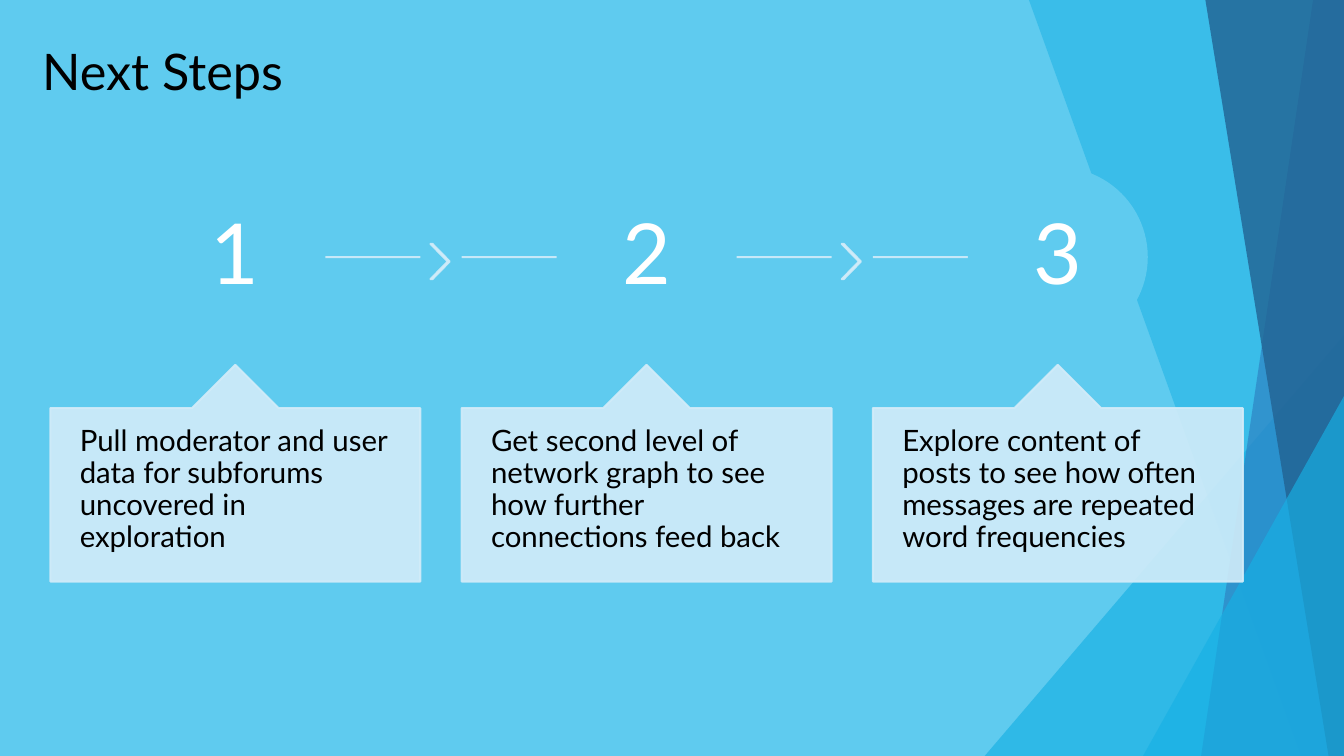
from lxml.etree import SubElement
from pptx import Presentation
from pptx.dml.color import RGBColor
from pptx.enum.shapes import MSO_CONNECTOR, MSO_SHAPE
from pptx.enum.text import MSO_ANCHOR, PP_ALIGN
from pptx.oxml.ns import qn
from pptx.util import Pt

SKY = RGBColor(0x5F, 0xCB, 0xEF)
CYAN = RGBColor(0x17, 0xB0, 0xE4)
BLUE = RGBColor(0x2E, 0x83, 0xC3)
NAVY = RGBColor(0x22, 0x62, 0x92)
PALE = RGBColor(0xD2, 0xEC, 0xF9)
BLACK = RGBColor(0, 0, 0)
WHITE = RGBColor(255, 255, 255)

FONT = "Lato"
SLIDE_W, SLIDE_H = 960, 540
CARD_LEFT, CARD_W, CARD_PITCH = 36, 264.24, 293.76
LINE_Y, LINE_W = 183.6, 1.5
CIRCLE_D = 127

STEPS = [
    "Pull moderator and user data for subforums uncovered in exploration",
    "Get second level of network graph to see how further connections feed back",
    "Explore content of posts to see how often messages are repeated "
    "word frequencies",
]


def set_alpha(fill, percent):
    """Make a solid fill partly transparent."""
    clr = fill._xPr.find(qn("a:solidFill"))[0]
    SubElement(clr, qn("a:alpha")).set("val", str(percent * 1000))


def paint(sp, color, alpha=100, outlined=False):
    """Fill a shape, and outline it in the same colour if asked."""
    sp.shadow.inherit = False
    sp.fill.solid()
    sp.fill.fore_color.rgb = color
    set_alpha(sp.fill, alpha)
    if outlined:
        sp.line.color.rgb = color
        sp.line.width = Pt(LINE_W)
        set_alpha(sp.line.fill, alpha)
    else:
        sp.line.fill.background()


def add_preset(s, kind, x, y, w, h, color, alpha=100, adj=(), outlined=False):
    """Add a preset shape with its adjustments."""
    sp = s.shapes.add_shape(kind, Pt(x), Pt(y), Pt(w), Pt(h))
    for i, value in enumerate(adj):
        sp.adjustments[i] = value
    paint(sp, color, alpha, outlined)
    return sp


def add_wedge(s, top_x, bottom_x, color, alpha):
    """Add a full-height band from a slanted edge to the slide's right side."""
    fb = s.shapes.build_freeform(Pt(top_x), 0)
    fb.add_line_segments([(Pt(SLIDE_W), 0), (Pt(SLIDE_W), Pt(SLIDE_H)),
                          (Pt(bottom_x), Pt(SLIDE_H))])
    paint(fb.convert_to_shape(), color, alpha)


def add_corner(s, x, y, color, alpha):
    """Add a right triangle that fills the lower right corner."""
    add_preset(s, MSO_SHAPE.ISOSCELES_TRIANGLE, x, y, SLIDE_W - x, SLIDE_H - y,
               color, alpha, [1])


def add_line(s, x1, x2):
    """Add a horizontal line of the step track."""
    c = s.shapes.add_connector(MSO_CONNECTOR.STRAIGHT, Pt(x1), Pt(LINE_Y),
                               Pt(x2), Pt(LINE_Y))
    c.line.color.rgb = PALE
    c.line.width = Pt(LINE_W)
    set_alpha(c.line.fill, 90)
    SubElement(c._element.spPr, qn("a:effectLst"))


def set_text(sp, text, size, color, align=PP_ALIGN.LEFT,
             anchor=MSO_ANCHOR.MIDDLE, inset=(7.2, 3.6), spacing=0.9):
    """Write one paragraph into a shape."""
    tf = sp.text_frame
    tf.word_wrap = True
    tf.vertical_anchor = anchor
    tf.margin_left = tf.margin_right = Pt(inset[0])
    tf.margin_top = tf.margin_bottom = Pt(inset[1])
    p = tf.paragraphs[0]
    p.text = text
    p.alignment = align
    p.line_spacing = spacing
    p.font.name = FONT
    p.font.size = Pt(size)
    p.font.color.rgb = color


def add_step(s, index, text):
    """Add a numbered circle with its track and callout."""
    left = CARD_LEFT + index * CARD_PITCH
    center = left + CARD_W / 2
    last = index == len(STEPS) - 1
    add_line(s, left if index else center, center if last else left + CARD_W)
    if not last:
        add_preset(s, MSO_SHAPE.CHEVRON, left + 271.5, 174.2, 13.7, 25.2,
                   PALE, 90, [0.9], True)
    circle = add_preset(s, MSO_SHAPE.OVAL, center - CIRCLE_D / 2,
                        LINE_Y - CIRCLE_D / 2, CIRCLE_D, CIRCLE_D, SKY,
                        outlined=True)
    set_text(circle, str(index + 1), 60, WHITE, PP_ALIGN.CENTER, inset=(5, 5))
    card = add_preset(s, MSO_SHAPE.UP_ARROW_CALLOUT, left, 260.6, CARD_W, 154.8,
                      PALE, 90, [0.5, 0.2, 0.2, 1], True)
    set_text(card, text, 21, BLACK, anchor=MSO_ANCHOR.TOP, inset=(21, 13))


def main():
    """Build the slide and save it."""
    prs = Presentation()
    prs.slide_width, prs.slide_height = Pt(SLIDE_W), Pt(SLIDE_H)
    s = prs.slides.add_slide(prs.slide_layouts[6])
    s.background.fill.solid()
    s.background.fill.fore_color.rgb = SKY

    add_corner(s, 703.4, 239.8, CYAN, 66)
    add_wedge(s, 735, 929.5, CYAN, 50)
    add_wedge(s, 938, 858, BLUE, 70)
    add_wedge(s, 861, 949, NAVY, 80)
    add_corner(s, 816.5, 283, CYAN, 66)

    title = s.shapes.add_textbox(Pt(23), Pt(8.6), Pt(222.5), Pt(82.8))
    set_text(title, "Next Steps", 36, BLACK, spacing=1.0)
    for index, text in enumerate(STEPS):
        add_step(s, index, text)
    prs.save("out.pptx")


if __name__ == "__main__":
    main()
